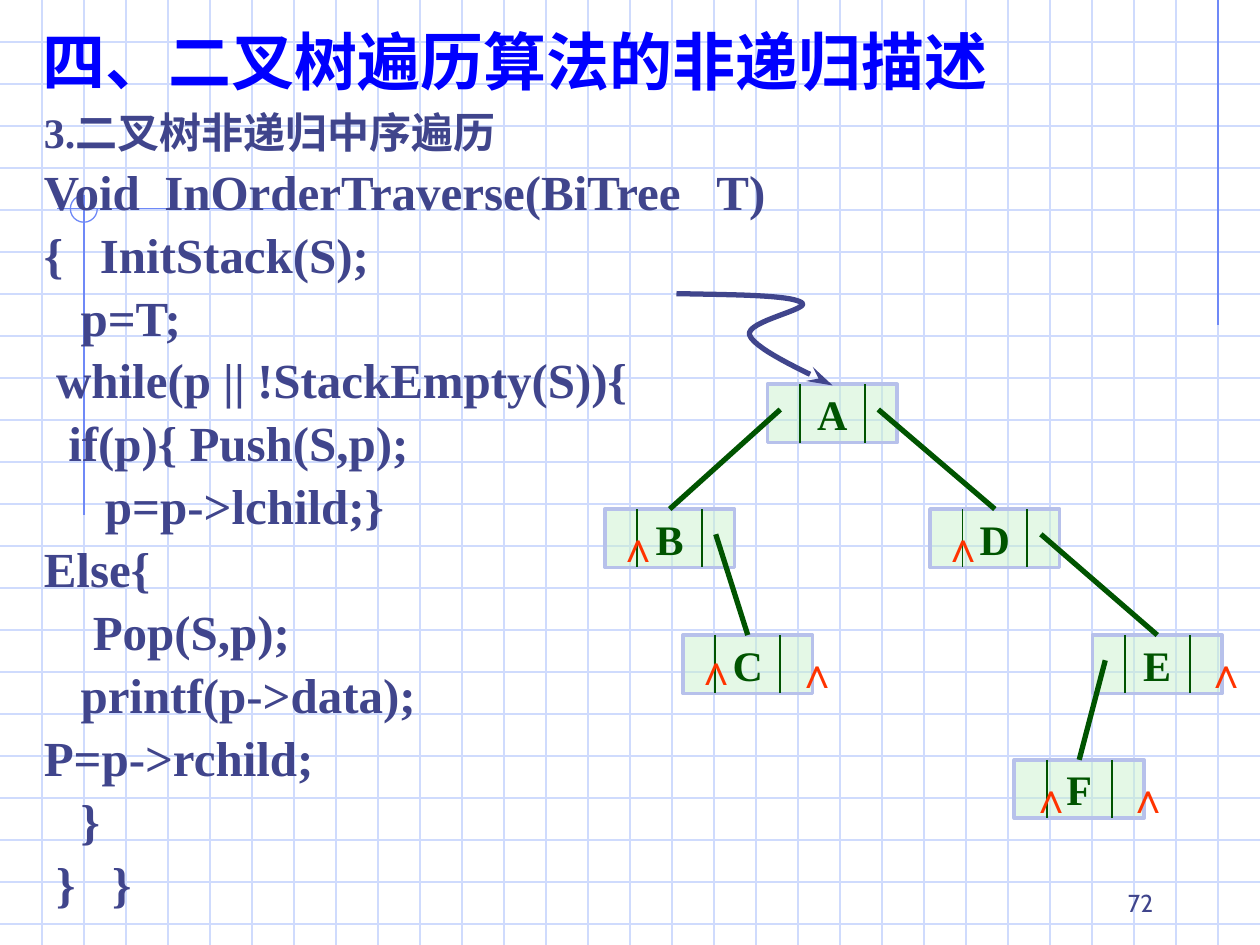
from dataclasses import dataclass

from lxml.etree import SubElement
from pptx import Presentation
from pptx.dml.color import RGBColor
from pptx.enum.shapes import MSO_CONNECTOR, MSO_SHAPE
from pptx.enum.text import MSO_ANCHOR, MSO_AUTO_SIZE, PP_ALIGN
from pptx.oxml.ns import qn
from pptx.util import Pt


@dataclass(frozen=True)
class Theme:
    """Colours, fonts and type sizes of the slide."""
    grid: str = "CFDBFD"
    ornament: str = "6F89F7"
    title: str = "0000FF"
    ink: str = "40458C"
    node_fill: str = "CAF2CE"
    node_line: str = "B7C1EB"
    tree: str = "005400"
    nil: str = "FF3300"
    serif: str = "Times New Roman"
    sans: str = "Arial"
    number_font: str = "Cabin"
    title_size: float = 36
    code_size: float = 28
    label_size: float = 24
    number_size: float = 14


WIDTH, HEIGHT, GRID_STEP = 720, 540, 24
NODE_WIDTH, NODE_HEIGHT = 74.2, 33.4
CODE = """Void  InOrderTraverse(BiTree   T)
{   InitStack(S);
   p=T;
 while(p || !StackEmpty(S)){
  if(p){ Push(S,p);
     p=p->lchild;}
Else{
    Pop(S,p);
   printf(p->data);
P=p->rchild;
   }
 }   }""".split("\n")
NODES = {"A": (438.5, 219.6), "D": (531.4, 290.9), "E": (624.2, 362.9),
         "B": (345.6, 290.9), "C": (390.2, 362.9), "F": (579.6, 434.2)}
LEFT_POINTER, RIGHT_POINTER, POINTER_DEPTH = 7.4, 63.4, 14.4
EDGES = [("A", "B", LEFT_POINTER), ("A", "D", RIGHT_POINTER),
         ("B", "C", RIGHT_POINTER), ("D", "E", RIGHT_POINTER),
         ("E", "F", LEFT_POINTER)]
NIL_OFFSETS = [("F", 2, 2.9), ("F", 57.6, 2.9), ("E", 57.6, 2.9), ("D", 0, 2.9),
               ("C", 0, 1.4), ("C", 57.6, 2.9), ("B", 0, 2.9)]
ROOT_CURVE = [(386.6, 167.8), (419, 168.5), (450.7, 168.5), (457.9, 172.8),
              (465.1, 176.4), (425.5, 183.6), (428.4, 191.5),
              (431.3, 200.2), (468, 216), (475.9, 220.3)]


def bezier_points(controls, steps=16):
    """Sample a chain of cubic Bezier segments."""
    points = [controls[0]]
    for first in range(0, len(controls) - 1, 3):
        segment = controls[first:first + 4]
        for step in range(1, steps + 1):
            t = step / steps
            weights = ((1 - t) ** 3, 3 * t * (1 - t) ** 2, 3 * t * t * (1 - t), t ** 3)
            points.append(tuple(sum(w * p[axis] for w, p in zip(weights, segment))
                                for axis in (0, 1)))
    return points


class SlideBuilder:
    """Draws styled elements on the current slide."""

    def __init__(self, slide, theme):
        """Keep the slide and its theme."""
        self.slide, self.theme = slide, theme
        self.shapes = slide.shapes

    def start_group(self):
        """Send the next elements to a new group."""
        self.shapes = self.slide.shapes.add_group_shape().shapes

    def end_group(self):
        """Send the next elements to the slide itself."""
        self.shapes = self.slide.shapes

    def format_paragraph(self, paragraph, size, color, font, bold=True, align=PP_ALIGN.LEFT):
        """Set the alignment and font of a paragraph."""
        paragraph.alignment = align
        paragraph.font.size, paragraph.font.bold = Pt(size), bold
        paragraph.font.name = font
        paragraph.font.color.rgb = RGBColor.from_string(color)

    def outline(self, shape, color, width):
        """Set the line of a shape."""
        shape.line.color.rgb = RGBColor.from_string(color)
        shape.line.width = Pt(width)

    def line(self, start, end, color, width):
        """Add a straight connector without a shadow."""
        connector = self.shapes.add_connector(
            MSO_CONNECTOR.STRAIGHT, *(Pt(value) for value in (*start, *end)))
        self.outline(connector, color, width)
        SubElement(connector.element.spPr, qn("a:effectLst"))
        return connector

    def arc(self, left, top, size):
        """Add a three-quarter circle."""
        shape = self.shapes.add_shape(MSO_SHAPE.ARC, Pt(left), Pt(top), Pt(size), Pt(size))
        shape.adjustments[0], shape.adjustments[1] = 0, 162
        shape.shadow.inherit = False
        shape.fill.background()
        self.outline(shape, self.theme.ornament, 0.75)

    def title(self, text, left, top, width, height):
        """Fill the title placeholder and bring it forward."""
        title = self.slide.shapes.title
        title.left, title.top, title.width, title.height = map(Pt, (left, top, width, height))
        frame = title.text_frame
        frame.text, frame.word_wrap = text, True
        frame.auto_size, frame.vertical_anchor = MSO_AUTO_SIZE.NONE, MSO_ANCHOR.TOP
        self.format_paragraph(frame.paragraphs[0], self.theme.title_size,
                              self.theme.title, self.theme.serif)
        self.slide.shapes.element.append(title.element)

    def text(self, text, left, top, width, height, wrap=True):
        """Add a text box and return its frame."""
        frame = self.shapes.add_textbox(Pt(left), Pt(top), Pt(width), Pt(height)).text_frame
        frame.text, frame.word_wrap = text, wrap
        return frame

    def listing(self, heading, lines, left, top, width, height):
        """Add a heading with lines of code below it."""
        frame = self.text("\n".join([heading, *lines]), left, top, width, height)
        for index, paragraph in enumerate(frame.paragraphs):
            paragraph.line_spacing = 0.55
            if index:
                paragraph.space_before = Pt(17.5)
            size = self.theme.code_size if index else self.theme.label_size
            self.format_paragraph(paragraph, size, self.theme.ink, self.theme.serif)

    def node(self, label, left, top):
        """Add a three-field tree node."""
        shape = self.shapes.add_shape(MSO_SHAPE.RECTANGLE, Pt(left), Pt(top),
                                      Pt(NODE_WIDTH), Pt(NODE_HEIGHT))
        shape.shadow.inherit = False
        shape.fill.solid()
        shape.fill.fore_color.rgb = RGBColor.from_string(self.theme.node_fill)
        fill_color = shape.element.spPr.find(".//" + qn("a:srgbClr"))
        SubElement(fill_color, qn("a:alpha"), val="50000")
        self.outline(shape, self.theme.node_line, 2)
        frame = shape.text_frame
        frame.text, frame.word_wrap = label, False
        frame.vertical_anchor = MSO_ANCHOR.MIDDLE
        self.format_paragraph(frame.paragraphs[0], self.theme.label_size, self.theme.tree,
                              self.theme.serif, align=PP_ALIGN.CENTER)
        for share in (0.25, 0.75):
            x = left + NODE_WIDTH * share
            self.line((x, top), (x, top + NODE_HEIGHT), self.theme.tree, 1)
        return shape

    def nil(self, left, top):
        """Add an empty-pointer mark."""
        frame = self.text("∧", left, top, 22.3, 36, wrap=False)
        frame.auto_size = MSO_AUTO_SIZE.SHAPE_TO_FIT_TEXT
        self.format_paragraph(frame.paragraphs[0], self.theme.label_size,
                              self.theme.nil, self.theme.sans)

    def curved_arrow(self, controls):
        """Add an open curve with an arrowhead at its end."""
        points = [(Pt(x), Pt(y)) for x, y in bezier_points(controls)]
        builder = self.shapes.build_freeform(*points[0])
        builder.add_line_segments(points[1:], close=False)
        shape = builder.convert_to_shape()
        shape.shadow.inherit = False
        shape.fill.background()
        self.outline(shape, self.theme.ink, 3)
        SubElement(shape.element.spPr.find(qn("a:ln")), qn("a:tailEnd"), type="stealth", len="lg")

    def page_number(self, text, left, top, width, height):
        """Add the page number."""
        frame = self.text(text, left, top, width, height)
        frame.vertical_anchor = MSO_ANCHOR.BOTTOM
        self.format_paragraph(frame.paragraphs[0], self.theme.number_size, self.theme.ink,
                              self.theme.number_font, bold=False, align=PP_ALIGN.RIGHT)


def main():
    """Build and save the slide."""
    presentation = Presentation()
    presentation.slide_width, presentation.slide_height = Pt(WIDTH), Pt(HEIGHT)
    theme = Theme()
    builder = SlideBuilder(presentation.slides.add_slide(presentation.slide_layouts[5]), theme)

    builder.start_group()
    for y in range(GRID_STEP, HEIGHT, GRID_STEP):
        builder.line((0, y), (WIDTH, y), theme.grid, 0.75)
    for x in range(GRID_STEP, WIDTH, GRID_STEP):
        builder.line((x, 0), (x, HEIGHT), theme.grid, 0.75)
    for start, end in [((696, 0), (696, 186)), ((173, 119.3), (32.4, 119.3)),
                       ((48, 111.6), (48, 294.5))]:
        builder.line(start, end, theme.ornament, 0.75)
    builder.arc(40.2, 111.6, 15.4)
    builder.end_group()

    builder.listing("3.二叉树非递归中序遍历", CODE, 18, 68.4, 455.8, 455)
    builder.title("四、二叉树遍历算法的非递归描述", 17.3, 9.4, 570, 50.4)

    builder.start_group()
    nodes = {label: builder.node(label, *place) for label, place in NODES.items()}
    for label, dx, dy in NIL_OFFSETS:
        left, top = NODES[label]
        builder.nil(left + dx, top + dy)
    for parent, child, pointer in EDGES:
        left, top = NODES[parent]
        edge = builder.line((left + pointer, top + POINTER_DEPTH), NODES[child], theme.tree, 3)
        edge.end_connect(nodes[child], 0)
    builder.curved_arrow(ROOT_CURVE)
    builder.end_group()

    builder.page_number("72", 516.2, 491.8, 149.8, 36)
    presentation.save("out.pptx")


if __name__ == "__main__":
    main()
